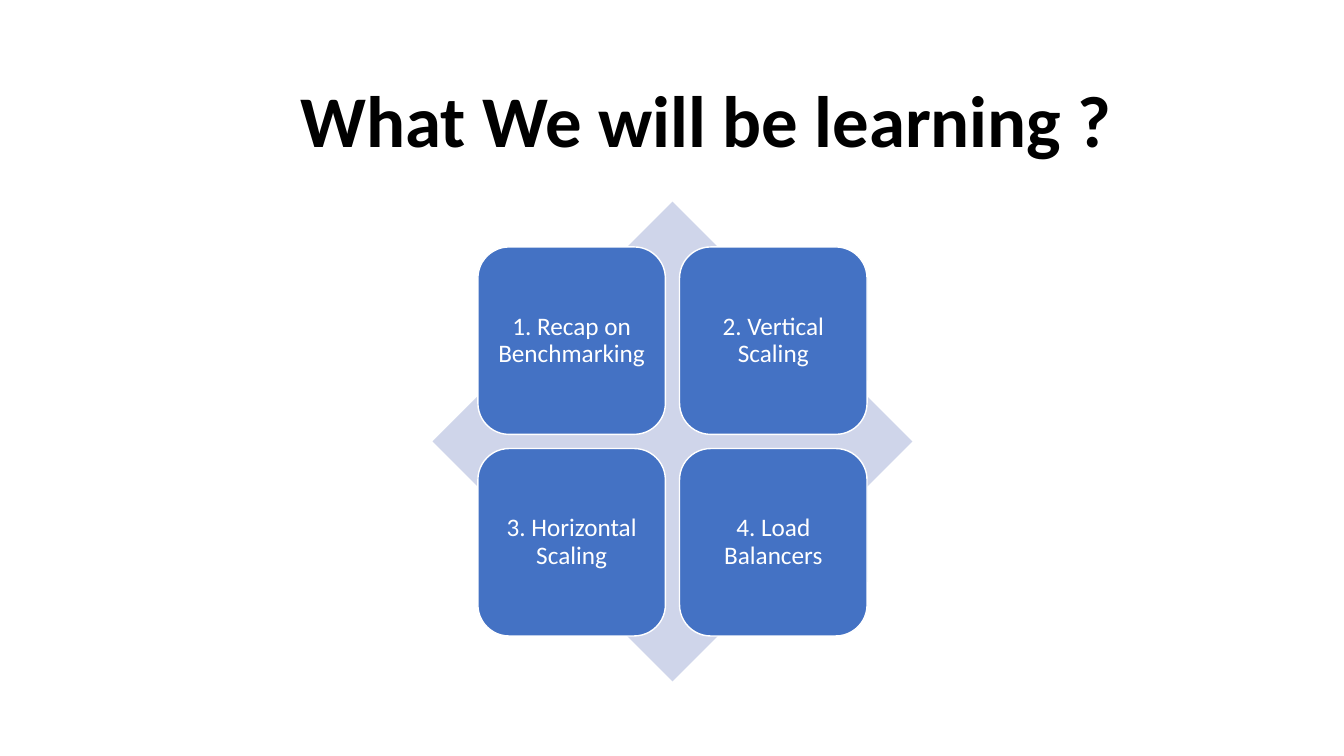
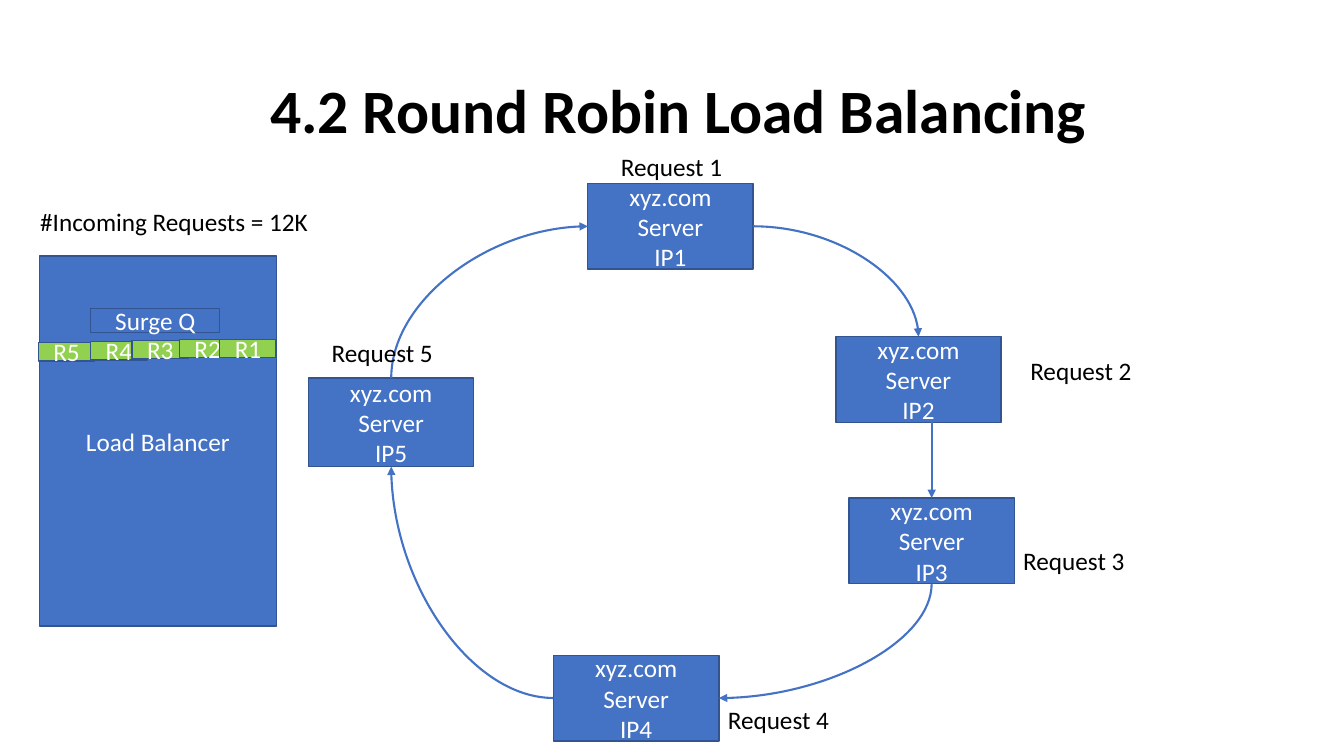
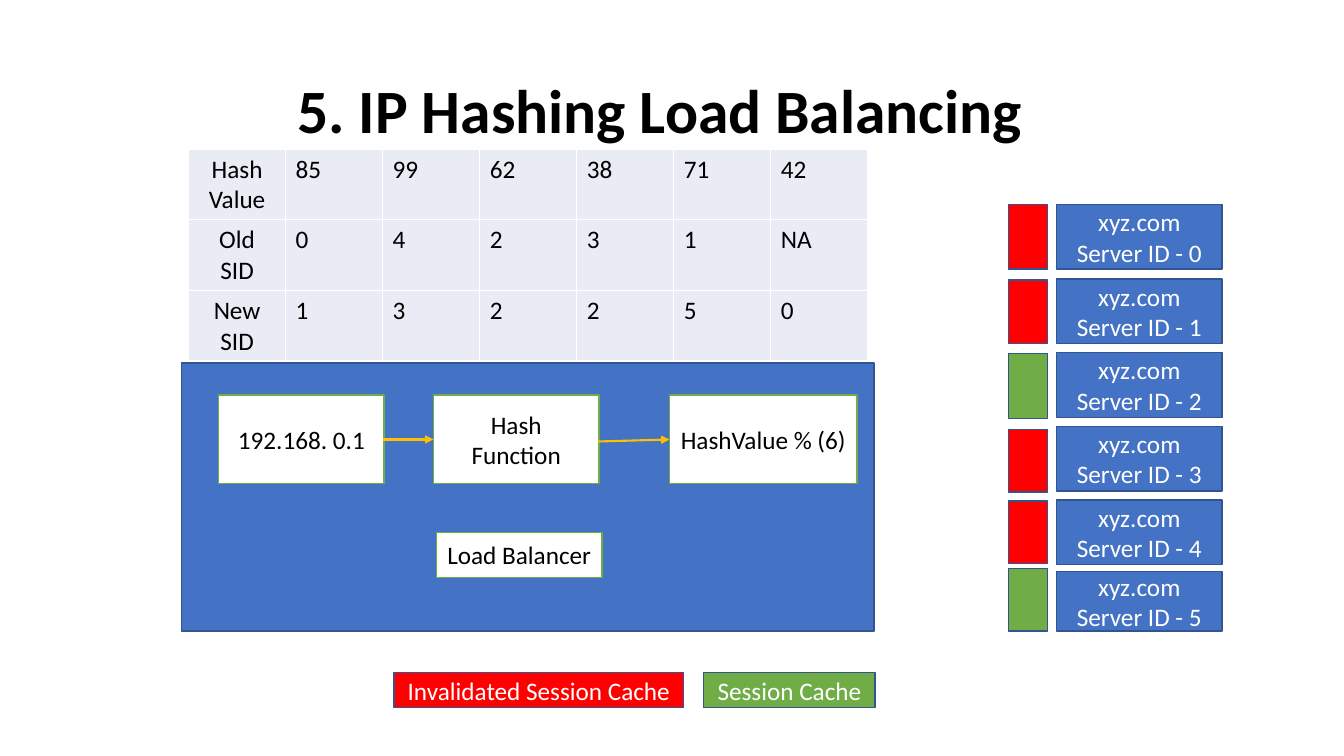
from lxml import etree
from pptx import Presentation
from pptx.dml.color import RGBColor
from pptx.enum.shapes import MSO_CONNECTOR, MSO_SHAPE
from pptx.enum.text import MSO_ANCHOR, PP_ALIGN
from pptx.oxml.ns import qn
from pptx.util import Inches, Pt

# Shared style
FONT = "Calibri"
BODY_SIZE = 18
BLUE, NAVY, PALE_BLUE, TABLE_FILL = "4472C4", "325491", "CFD5EA", "E9EBF5"
WHITE, BLACK, RED, GREEN = "FFFFFF", "000000", "FF0000", "70AD47"
LIME, AMBER = "92D050", "FFC000"

# Slide 1 content
TOPICS = ["1. Recap on Benchmarking", "2. Vertical Scaling",
          "3. Horizontal Scaling", "4. Load Balancers"]

# Slide 2 content: server -> left, top, height
RING = {
    "IP5": (3.06, 3.75, 0.88),
    "IP1": (5.83, 1.82, 0.85),
    "IP4": (5.49, 6.5, 0.85),
    "IP3": (8.42, 4.94, 0.85),
    "IP2": (8.29, 3.34, 0.85),
}
SERVER_WIDTH = 1.64
TOP, LEFT, BOTTOM, RIGHT = range(4)
ARCS = [("IP5", TOP, "IP1", LEFT), ("IP1", RIGHT, "IP2", TOP),
        ("IP3", BOTTOM, "IP4", RIGHT), ("IP4", LEFT, "IP5", BOTTOM)]
LABELS = [("Request 1", 6.06, 1.45, 1.22), ("Request 5", 3.19, 3.3, 1.22),
          ("Request 4", 7.12, 6.94, 1.22), ("Request 3", 10.05, 5.36, 1.22),
          ("Request 2", 10.12, 3.48, 1.22),
          ("#Incoming Requests = 12K", 0.3, 2, 2.89)]
QUEUE = [("R5", 0.38, 3.4), ("R4", 0.9, 3.39), ("R3", 1.31, 3.38),
         ("R2", 1.78, 3.37), ("R1", 2.18, 3.37)]

# Slide 3 content
HASH_ROWS = [
    ["Hash\nValue", "85", "99", "62", "38", "71", "42"],
    ["Old\nSID", "0", "4", "2", "3", "1", "NA"],
    ["New SID", "1", "3", "2", "2", "5", "0"],
]
ROW_HEIGHTS = [0.62, 0.62, 0.36]
STEPS = [("192.168. 0.1", 2.17, 3.92, 1.64, 0.88),
         ("Hash Function", 4.3, 3.92, 1.64, 0.88),
         ("HashValue % (6)", 6.64, 3.92, 1.86, 0.88),
         ("Load Balancer", 4.33, 5.28, 1.64, 0.45)]
STEP_ARROWS = [((3.8, 4.36), (4.3, 4.36)), ((5.93, 4.38), (6.64, 4.36))]
# server top, server height, cache top, cache height, cache colour
SERVERS = [(2.03, 0.64, 2.03, 0.64, RED), (2.77, 0.64, 2.78, 0.63, RED),
           (3.5, 0.64, 3.51, 0.64, GREEN), (4.23, 0.64, 4.26, 0.62, RED),
           (4.96, 0.64, 4.97, 0.62, RED), (5.67, 0.59, 5.64, 0.62, GREEN)]
LEGEND = [("Session Cache", 6.98, 1.7, GREEN),
          ("Invalidated Session Cache", 3.91, 2.87, RED)]


def rgb(color):
    return RGBColor.from_string(color)


def write(frame, text, color=BLACK, size=BODY_SIZE, align=None, bold=False,
          spacing=None):
    frame.text = text
    for paragraph in frame.paragraphs:
        paragraph.alignment = align
        paragraph.line_spacing = spacing
        paragraph.font.name = FONT
        paragraph.font.size = Pt(size)
        paragraph.font.bold = bold
        paragraph.font.color.rgb = rgb(color)


def add_text(slide, text, left, top, width, height, wrap=False, **style):
    frame = slide.shapes.add_textbox(*map(Inches, (left, top, width, height))).text_frame
    frame.word_wrap = wrap
    write(frame, text, **style)
    return frame


def add_title(slide, text, left, top, height, size):
    frame = add_text(slide, text, left, top, 12.42 - left, height, wrap=True,
                     size=size, bold=True, spacing=0.9)
    frame.vertical_anchor = MSO_ANCHOR.MIDDLE


def add_box(slide, left, top, width, height, text="", fill=BLUE, line=NAVY,
            color=WHITE, kind=MSO_SHAPE.RECTANGLE, **style):
    shape = slide.shapes.add_shape(kind, *map(Inches, (left, top, width, height)))
    shape.shadow.inherit = False
    shape.fill.solid()
    shape.fill.fore_color.rgb = rgb(fill)
    if line:
        shape.line.color.rgb = rgb(line)
        shape.line.width = Pt(1)
    else:
        shape.line.fill.background()
    if text:
        write(shape.text_frame, text, color, align=PP_ALIGN.CENTER, **style)
    return shape


def add_arrow(slide, start, end, color, kind=MSO_CONNECTOR.STRAIGHT):
    connector = slide.shapes.add_connector(kind, *map(Inches, start + end))
    connector.line.color.rgb = rgb(color)
    connector.line.width = Pt(1.5)
    etree.SubElement(connector.line._get_or_add_ln(), qn("a:tailEnd"), type="triangle")
    etree.SubElement(connector._element.spPr, qn("a:effectLst"))
    return connector


def bend(connector, start, end, preset, vertical):
    """Place a curved connector that leaves its start vertically or sideways."""
    dx, dy = end[0] - start[0], end[1] - start[1]
    width, height = (abs(dy), abs(dx)) if vertical else (abs(dx), abs(dy))
    connector.left = Inches((start[0] + end[0] - width) / 2)
    connector.top = Inches((start[1] + end[1] - height) / 2)
    connector.width, connector.height = Inches(width), Inches(height)
    properties = connector._element.spPr
    properties.find(qn("a:prstGeom")).set("prst", preset)
    transform = properties.find(qn("a:xfrm"))
    transform.rot = 90 if vertical else 0
    transform.flipH = dy < 0 if vertical else dx < 0
    transform.flipV = dx > 0 if vertical else dy < 0


def ring_site(name, side):
    left, top, height = RING[name]
    x = {LEFT: left, RIGHT: left + SERVER_WIDTH}.get(side, left + SERVER_WIDTH / 2)
    y = {TOP: top, BOTTOM: top + height}.get(side, top + height / 2)
    return x, y


def set_cell_borders(cell, color):
    properties = cell._tc.get_or_add_tcPr()
    for index, edge in enumerate(("lnL", "lnR", "lnT", "lnB")):
        line = etree.Element(qn(f"a:{edge}"), w=str(Pt(1)))
        fill = etree.SubElement(line, qn("a:solidFill"))
        etree.SubElement(fill, qn("a:srgbClr"), val=color)
        properties.insert(index, line)


def build_topics(slide):
    add_title(slide, "What We will be learning ?", 2.88, 0.61, 1.24, 52)
    add_box(slide, 4.29, 2, 4.76, 4.76, fill=PALE_BLUE, line=None,
            kind=MSO_SHAPE.DIAMOND)
    for index, topic in enumerate(TOPICS):
        row, column = divmod(index, 2)
        tile = add_box(slide, 4.74 + 2 * column, 2.45 + 2 * row, 1.86, 1.86, topic,
                       line=WHITE, kind=MSO_SHAPE.ROUNDED_RECTANGLE, spacing=0.9)
        frame = tile.text_frame
        frame.margin_left = frame.margin_right = Inches(0.07)
        frame.margin_top = frame.margin_bottom = Inches(0.07)


def build_round_robin(slide):
    add_title(slide, "4.2 Round Robin Load Balancing", 2.58, 0.4, 1.45, 44)
    servers = {name: add_box(slide, left, top, SERVER_WIDTH, height,
                             f"xyz.com\nServer\n{name}")
               for name, (left, top, height) in RING.items()}
    add_box(slide, 0.39, 2.54, 2.35, 3.67, "Load Balancer")

    # Arrows around the ring
    for source, source_side, target, target_side in ARCS:
        start, end = ring_site(source, source_side), ring_site(target, target_side)
        arc = add_arrow(slide, start, end, BLUE, MSO_CONNECTOR.CURVE)
        arc.begin_connect(servers[source], source_side)
        arc.end_connect(servers[target], target_side)
        bend(arc, start, end, "curvedConnector2", source_side in (TOP, BOTTOM))
    start, end = (9.24, 4.19), ring_site("IP3", TOP)
    link = add_arrow(slide, start, end, BLUE, MSO_CONNECTOR.CURVE)
    link.end_connect(servers["IP3"], TOP)
    bend(link, start, end, "curvedConnector3", True)

    for text, left, top, width in LABELS:
        add_text(slide, text, left, top, width, 0.4)

    # Surge queue
    for text, left, top in QUEUE:
        add_box(slide, left, top, 0.56, 0.18, text, fill=LIME)
    add_box(slide, 0.9, 3.06, 1.28, 0.24, "Surge Q")


def build_ip_hashing(slide):
    add_title(slide, "5. IP Hashing Load Balancing", 2.85, 0.4, 1.45, 44)

    # Hash table
    table = slide.shapes.add_table(len(HASH_ROWS), len(HASH_ROWS[0]), Inches(1.87),
                                   Inches(1.48), Inches(6.74), Inches(1.6)).table
    table.first_row = table.horz_banding = False
    for row, (values, height) in enumerate(zip(HASH_ROWS, ROW_HEIGHTS)):
        table.rows[row].height = Inches(height)
        for column, value in enumerate(values):
            cell = table.cell(row, column)
            cell.fill.solid()
            cell.fill.fore_color.rgb = rgb(TABLE_FILL)
            write(cell.text_frame, value,
                  align=PP_ALIGN.LEFT if column else PP_ALIGN.CENTER)
            set_cell_borders(cell, WHITE)

    # Load balancer and its steps
    add_box(slide, 1.8, 3.6, 6.87, 2.66)
    for text, left, top, width, height in STEPS:
        add_box(slide, left, top, width, height, text, fill=WHITE, line=GREEN,
                color=BLACK)
    for start, end in STEP_ARROWS:
        add_arrow(slide, start, end, AMBER)

    # Servers with their session caches
    for number, (top, height, cache_top, cache_height, fill) in enumerate(SERVERS):
        add_box(slide, 10.48, top, 1.64, height, f"xyz.com\nServer ID - {number}")
        add_box(slide, 10, cache_top, 0.39, cache_height, fill=fill)

    for text, left, width, fill in LEGEND:
        add_box(slide, left, 6.67, width, 0.35, text, fill=fill)


def main():
    presentation = Presentation()
    presentation.slide_width, presentation.slide_height = Inches(13.33), Inches(7.5)
    for build in (build_topics, build_round_robin, build_ip_hashing):
        build(presentation.slides.add_slide(presentation.slide_layouts[6]))
    presentation.save("out.pptx")


if __name__ == "__main__":
    main()
